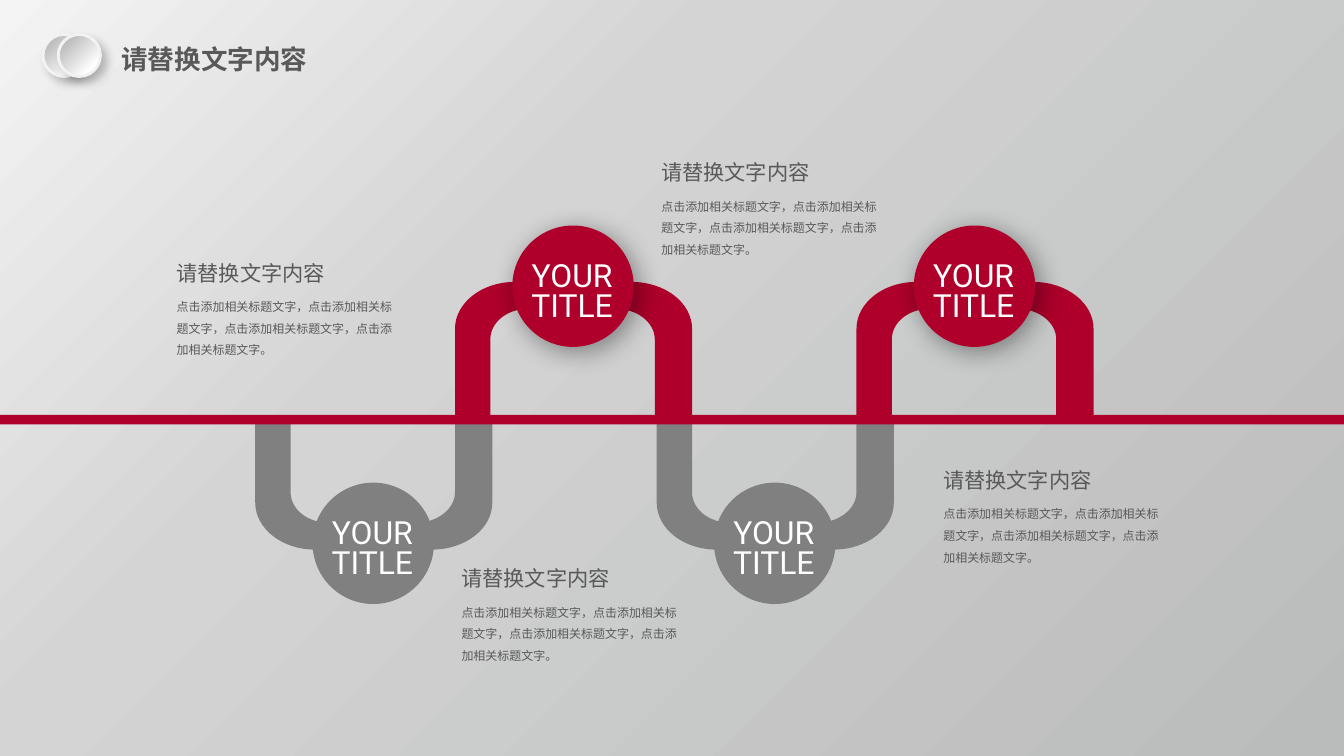
from dataclasses import dataclass

from lxml import etree
from pptx import Presentation
from pptx.dml.color import RGBColor
from pptx.enum import shapes as sh, text as tx
from pptx.oxml.ns import qn
from pptx.util import Inches, Pt

RED, GRAY, INK, WHITE = "AE002B", "808080", "595959", "FFFFFF"
CJK = "Noto Sans CJK SC"
HEAD = "请替换文字内容"
BODY = "，".join(["点击添加相关标题文字"] * 4) + "。"


@dataclass
class Arch:
    left: float
    up: bool

    @property
    def color(self) -> str:
        return RED if self.up else GRAY

    @property
    def disc(self) -> float:
        """Top of the disc."""
        return 2.36 if self.up else 5.05


@dataclass
class Note:
    left: float
    top: float


@dataclass
class Shade:
    alpha: int
    blur: float
    dist: float


ARCHES = [Arch(left + 4.2 * i, up) for i in range(2)
          for left, up in ((2.67, False), (4.76, True))]
NOTES = [Note(1.75, 2.67), Note(4.73, 5.87), Note(6.82, 1.62), Note(9.77, 4.84)]
BACK = [(0, "F4F4F4"), (35, "D4D4D4"), (100, "BABBBB")]
PEARL = [(20, "BFBFBF"), (80, WHITE), (100, WHITE)]
# Each step ends at its last point; a step of three points is a Bezier curve.
BEND = [
    [(0, 0)], [(0.37, 0)], [(0.37, 0.79)],
    [(0.37, 0.97), (0.55, 1.11), (0.77, 1.11)], [(1.68, 1.11)],
    [(1.9, 1.11), (2.09, 0.97), (2.09, 0.79)], [(2.09, 0)],
    [(2.48, 0)], [(2.48, 0.9)],
    [(2.48, 1.17), (2.2, 1.39), (1.85, 1.39)], [(0.62, 1.39)],
    [(0.28, 1.39), (0, 1.17), (0, 0.9)],
]


def rgb(code: str) -> RGBColor:
    return RGBColor.from_string(code)


def tint(node, code: str, alpha: int = 100) -> None:
    """Append a colour to an XML node."""
    clr = etree.SubElement(node, qn("a:srgbClr"), val=code)
    if alpha < 100:
        etree.SubElement(clr, qn("a:alpha"), val=str(alpha * 1000))


def blend(fill, root, stops: list) -> None:
    """Fill with a gradient running from top left to bottom right."""
    fill.gradient()
    fill.gradient_angle = 315
    group = next(root.iter(qn("a:gsLst")))
    for old in list(group):
        group.remove(old)
    for pos, code in stops:
        tint(etree.SubElement(group, qn("a:gs"), pos=str(pos * 1000)), code)


def shade(shape, look: Shade) -> None:
    """Give a shape an outer shadow to the lower right."""
    group = shape.element.spPr.find(qn("a:effectLst"))
    node = etree.SubElement(
        group, qn("a:outerShdw"), blurRad=str(Pt(look.blur)),
        dist=str(Pt(look.dist)), dir="2700000", algn="tl", rotWithShape="0")
    tint(node, "000000", look.alpha)


def paint(shape, code: str) -> None:
    shape.shadow.inherit = False
    shape.fill.solid()
    shape.fill.fore_color.rgb = rgb(code)
    shape.line.fill.background()


def add_arch(slide, arch: Arch) -> None:
    base, way = (4.34, -1) if arch.up else (4.36, 1)
    steps = [[(Inches(arch.left + x), Inches(base + way * y)) for x, y in step]
             for step in BEND]
    ends = [step[-1] for step in steps]
    form = slide.shapes.build_freeform(*ends[0])
    form.add_line_segments(ends[1:])
    shape = form.convert_to_shape()
    lines = list(shape.element.iter(qn("a:lnTo")))
    for line, step in zip(lines, steps[1:]):
        if len(step) == 3:
            curve = etree.Element(qn("a:cubicBezTo"))
            for x, y in step:
                etree.SubElement(curve, qn("a:pt"), x=str(x - shape.left),
                                 y=str(y - shape.top))
            line.getparent().replace(line, curve)
    paint(shape, arch.color)


def add_disc(slide, arch: Arch) -> None:
    disc = slide.shapes.add_shape(
        sh.MSO_SHAPE.OVAL, Inches(arch.left + 0.6), Inches(arch.disc),
        Inches(1.27), Inches(1.27))
    paint(disc, arch.color)
    if arch.up:
        shade(disc, Shade(40, 20, 5))


def write(box, words: str, size: int, font: str, code: str = INK, *, wrap: bool = False,
          lines: float = 1.0, align=tx.PP_ALIGN.LEFT, bold: bool = False) -> None:
    """Put one styled paragraph into a box."""
    frame = box.text_frame
    frame.text = words
    frame.word_wrap = wrap
    frame.auto_size = tx.MSO_AUTO_SIZE.SHAPE_TO_FIT_TEXT
    frame.vertical_anchor = tx.MSO_ANCHOR.TOP
    par = frame.paragraphs[0]
    par.alignment, par.line_spacing = align, lines
    par.font.size, par.font.name, par.font.bold = Pt(size), font, bold
    par.font.color.rgb = rgb(code)
    base = next(par._p.iter(qn("a:defRPr")))
    etree.SubElement(base, qn("a:ea"), typeface=CJK)


def add_box(slide, left: float, top: float, width: float, height: float):
    return slide.shapes.add_textbox(
        Inches(left), Inches(top), Inches(width), Inches(height))


def add_note(slide, note: Note) -> None:
    body = add_box(slide, note.left, note.top + 0.34, 2.55, 0.78)
    write(body, BODY, 9, CJK, wrap=True, lines=1.5)
    write(add_box(slide, note.left, note.top, 1.77, 0.37), HEAD, 16, "Calibri")


def add_pearl(slide, left: float) -> None:
    pearl = slide.shapes.add_shape(
        sh.MSO_SHAPE.OVAL, Inches(left), Inches(0.36), Inches(0.44), Inches(0.44))
    pearl.shadow.inherit = False
    blend(pearl.fill, pearl.element, PEARL)
    pearl.line.color.rgb = rgb("F2F2F2")
    pearl.line.width = Pt(2.25)
    shade(pearl, Shade(23, 7, 5.9))


def main() -> None:
    deck = Presentation()
    deck.slide_width, deck.slide_height = Inches(14.06), Inches(7.91)
    slide = deck.slides.add_slide(deck.slide_layouts[5])
    blend(slide.background.fill, slide.element, BACK)

    title = slide.shapes.title
    title.left, title.top = Inches(1.17), Inches(0.4)
    title.width, title.height = Inches(2.17), Inches(0.44)
    write(title, HEAD, 20, "Calibri", bold=True)

    for arch in ARCHES:
        add_arch(slide, arch)
        add_disc(slide, arch)
    bar = slide.shapes.add_shape(
        sh.MSO_SHAPE.RECTANGLE, 0, Inches(4.34), Inches(14.08), Inches(0.1))
    paint(bar, RED)
    for arch in ARCHES:
        label = add_box(slide, arch.left + 0.68, arch.disc + 0.34, 1.09, 0.75)
        write(label, "YOUR TITLE", 24, "Roboto", WHITE, wrap=True, lines=0.8,
              align=tx.PP_ALIGN.CENTER)
    for note in NOTES:
        add_note(slide, note)
    for left in (0.45, 0.61):
        add_pearl(slide, left)
    deck.save("out.pptx")


if __name__ == "__main__":
    main()
